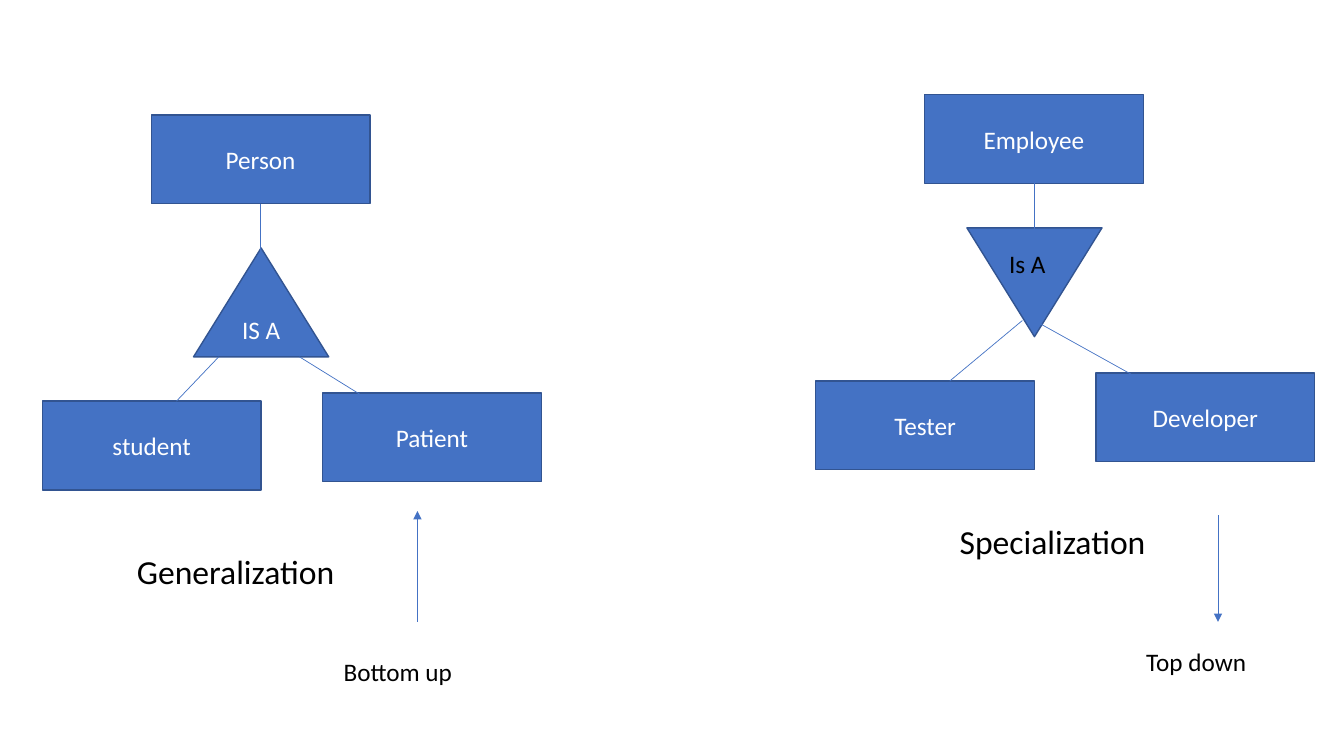
import pptx
import pptx.util
import pptx.dml.color
import pptx.enum.shapes
import pptx.enum.text
import pptx.oxml
import pptx.oxml.ns

COLORS = {"fill": "4472C4", "edge": "325491", "light": "FFFFFF", "dark": "000000"}
RGB = {name: pptx.dml.color.RGBColor.from_string(code) for name, code in COLORS.items()}
SHAPES = pptx.enum.shapes.MSO_SHAPE
ALIGN = pptx.enum.text.PP_ALIGN
ANCHOR = pptx.enum.text.MSO_ANCHOR

# Grid of one-inch columns and rows
CELL = pptx.util.Inches(1)
BOX_WIDTH, BOX_HEIGHT = 2.17, 0.88

deck = pptx.Presentation()
deck.slide_width = round(13.33 * CELL)
deck.slide_height = round(7.5 * CELL)
page = deck.slides.add_slide(deck.slide_layouts[6])


def write(shape, text, size=18, color="light", align=ALIGN.CENTER, anchor=ANCHOR.MIDDLE):
    frame = shape.text_frame
    frame.word_wrap = True
    frame.vertical_anchor = anchor
    para = frame.paragraphs[0]
    para.alignment = align
    span = para.add_run()
    span.text = text
    span.font.name = "Calibri"
    span.font.size = pptx.util.Pt(size)
    span.font.color.rgb = RGB[color]


def draw_line(*ends, arrow=False):
    line = page.shapes.add_connector(
        pptx.enum.shapes.MSO_CONNECTOR.STRAIGHT, *[round(end * CELL) for end in ends])
    line.line.color.rgb = RGB["fill"]
    line.line.width = pptx.util.Pt(0.5)
    if arrow:
        head = pptx.oxml.parse_xml(
            f'<a:tailEnd {pptx.oxml.ns.nsdecls("a")} type="triangle"/>')
        line.line._get_or_add_ln().append(head)
    line._element.spPr.append(
        pptx.oxml.parse_xml(f'<a:effectLst {pptx.oxml.ns.nsdecls("a")}/>'))
    return line


# Two trees: left, top, parent, left child, right child, triangle label, turn, branches
trees = [
    (0.42, 1.14, "Person", "student", "Patient", "IS A", 0,
     [(2.17, 3.54, 1.75, 3.98), (2.97, 3.54, 3.68, 3.98)]),
    (8.09, 0.94, "Employee", "Tester", "Developer", None, 180,
     [(10.14, 3.18, 9.42, 3.78), (10.26, 3.18, 11.34, 3.78)]),
]
for left, top, parent, left_child, right_child, label, turn, branches in trees:
    parts = [
        (SHAPES.RECTANGLE, 2.78, 2.76, BOX_WIDTH, BOX_HEIGHT, right_child, 0),
        (SHAPES.RECTANGLE, 0, 2.84, BOX_WIDTH, BOX_HEIGHT, left_child, 0),
        (SHAPES.ISOSCELES_TRIANGLE, 1.5, 1.32, 1.34, 1.08, label, turn),
        (SHAPES.RECTANGLE, 1.08, 0, BOX_WIDTH, BOX_HEIGHT, parent, 0),
    ]
    for kind, column, row, width, height, text, rotation in parts:
        box = page.shapes.add_shape(
            kind, round((left + column) * CELL), round((top + row) * CELL),
            round(width * CELL), round(height * CELL))
        box.rotation = rotation
        box.shadow.inherit = False
        box.fill.solid()
        box.fill.fore_color.rgb = RGB["fill"]
        box.line.color.rgb = RGB["edge"]
        box.line.width = pptx.util.Pt(1)
        if text:
            write(box, text)

    # Stem from the parent, drawn last, and branches to the children
    middle = left + 1.08 + BOX_WIDTH / 2
    stem = draw_line(middle, top + BOX_HEIGHT, middle, top + 1.48)
    stem.begin_connect(box, 2)
    for branch in branches:
        draw_line(*branch)

# Direction arrows
draw_line(4.14, 6.17, 4.14, 5.07, arrow=True)
draw_line(12.08, 5.11, 12.08, 6.17, arrow=True)

# Captions
captions = [
    ("Generalization", 1.26, 5.42, 2.56, 0.5, 24),
    ("Specialization", 9.42, 5.12, 2.06, 0.5, 24),
    ("Is A", 9.91, 2.41, 0.72, 0.4, 18),
    ("Bottom up", 3.31, 6.46, 2.06, 0.4, 18),
    ("Top down", 11.27, 6.36, 2.06, 0.4, 18),
]
for text, *place, size in captions:
    caption = page.shapes.add_textbox(*[round(length * CELL) for length in place])
    write(caption, text, size=size, color="dark", align=ALIGN.LEFT, anchor=ANCHOR.TOP)
    caption.text_frame.auto_size = pptx.enum.text.MSO_AUTO_SIZE.SHAPE_TO_FIT_TEXT

deck.save("out.pptx")
